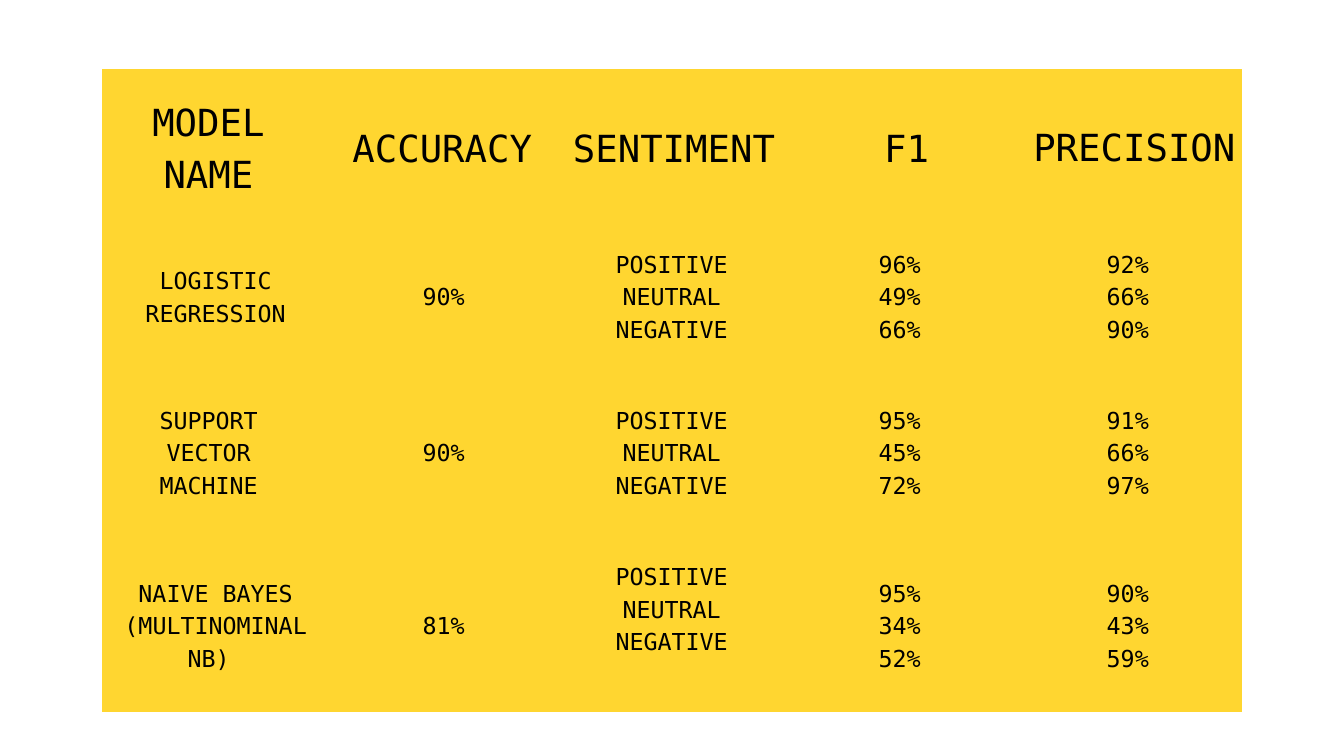
import pptx
import pptx.dml.color
import pptx.enum.text
import pptx.oxml
import pptx.oxml.ns
import pptx.util

Cm = pptx.util.Cm
Pt = pptx.util.Pt
GOLD = pptx.dml.color.RGBColor(0xFF, 0xD6, 0x30)
BLACK = pptx.dml.color.RGBColor(0, 0, 0)
FACE = "DejaVu Sans Mono"
CENTER = pptx.enum.text.PP_ALIGN.CENTER
MIDDLE = pptx.enum.text.MSO_ANCHOR.MIDDLE
GROW = pptx.enum.text.MSO_AUTO_SIZE.SHAPE_TO_FIT_TEXT

HEADS = [
    ("MODEL\nNAME", 5.72, 3.45, 4.32, 3.84),
    ("ACCURACY", 13.26, 4.45, 6.91, 1.88),
    ("SENTIMENT", 21.59, 4.45, 7.77, 1.88),
    ("F1", 33.4, 4.45, 1.73, 1.88),
    ("PRECISION", 38.99, 4.42, 7.77, 1.88),
]
MOODS = "POSITIVE\nNEUTRAL\nNEGATIVE"
MODELS = [
    ("LOGISTIC REGRESSION", "90%", MOODS, "96%\n49%\n66%", "92%\n66%\n90%"),
    ("SUPPORT \nVECTOR \nMACHINE ", "90%", MOODS, "95%\n45%\n72%", "91%\n66%\n97%"),
    ("NAIVE BAYES\n(MULTINOMINAL NB) ", "81%", MOODS, "95%\n34%\n52%", "90%\n43%\n59%"),
]
WIDTH = 8.62
HEIGHTS = [5.87, 5.33, 6.45, 6.63]
SIDES = ("margin_left", "margin_top", "margin_right", "margin_bottom")


def apply(item, form):
    for name, value in form.items():
        setattr(item, name, value)


def write(frame, text, size, pitch):
    frame.text = text
    for para in frame.paragraphs:
        apply(para, {"alignment": CENTER, "line_spacing": Pt(pitch)})
        apply(para.font, {"name": FACE, "size": Pt(size)})
        para.font.color.rgb = BLACK


def style(cell):
    apply(cell, dict.fromkeys(SIDES, Cm(0.53)))
    cell.vertical_anchor = MIDDLE
    cell.fill.solid()
    cell.fill.fore_color.rgb = GOLD
    props = cell._tc.get_or_add_tcPr()
    for spot, side in enumerate("LRTB"):
        tag = f"a:ln{side}"
        names = pptx.oxml.ns.nsdecls("a")
        edge = pptx.oxml.parse_xml(f'<{tag} {names} w="0"><a:noFill/></{tag}>')
        props.insert(spot, edge)


def add_grid(slide):
    frame = slide.shapes.add_table(
        len(HEIGHTS), len(HEADS), Cm(3.84), Cm(2.62),
        Cm(WIDTH * len(HEADS)), Cm(sum(HEIGHTS)))
    table = frame.table
    apply(table, {"first_row": False, "horz_banding": False})
    for col in table.columns:
        col.width = Cm(WIDTH)
    for row, height in zip(table.rows, HEIGHTS):
        row.height = Cm(height)
    for cell in table.iter_cells():
        style(cell)
    for r, model in enumerate(MODELS, 1):
        for c, text in enumerate(model):
            write(table.cell(r, c).text_frame, text, 25, 35)
    table.cell(3, 2).margin_bottom = Cm(1.78)


def add_head(slide, text, left, top, width, height):
    box = slide.shapes.add_textbox(Cm(left), Cm(top), Cm(width), Cm(height))
    frame = box.text_frame
    apply(frame, dict.fromkeys(SIDES, 0))
    apply(frame, {"word_wrap": True, "auto_size": GROW})
    write(frame, text, 40, 56)


def main():
    deck = pptx.Presentation()
    apply(deck, {"slide_width": Cm(50.8), "slide_height": Cm(28.58)})
    slide = deck.slides.add_slide(deck.slide_layouts[6])
    add_grid(slide)
    for head in HEADS:
        add_head(slide, *head)
    deck.save("out.pptx")


if __name__ == "__main__":
    main()
